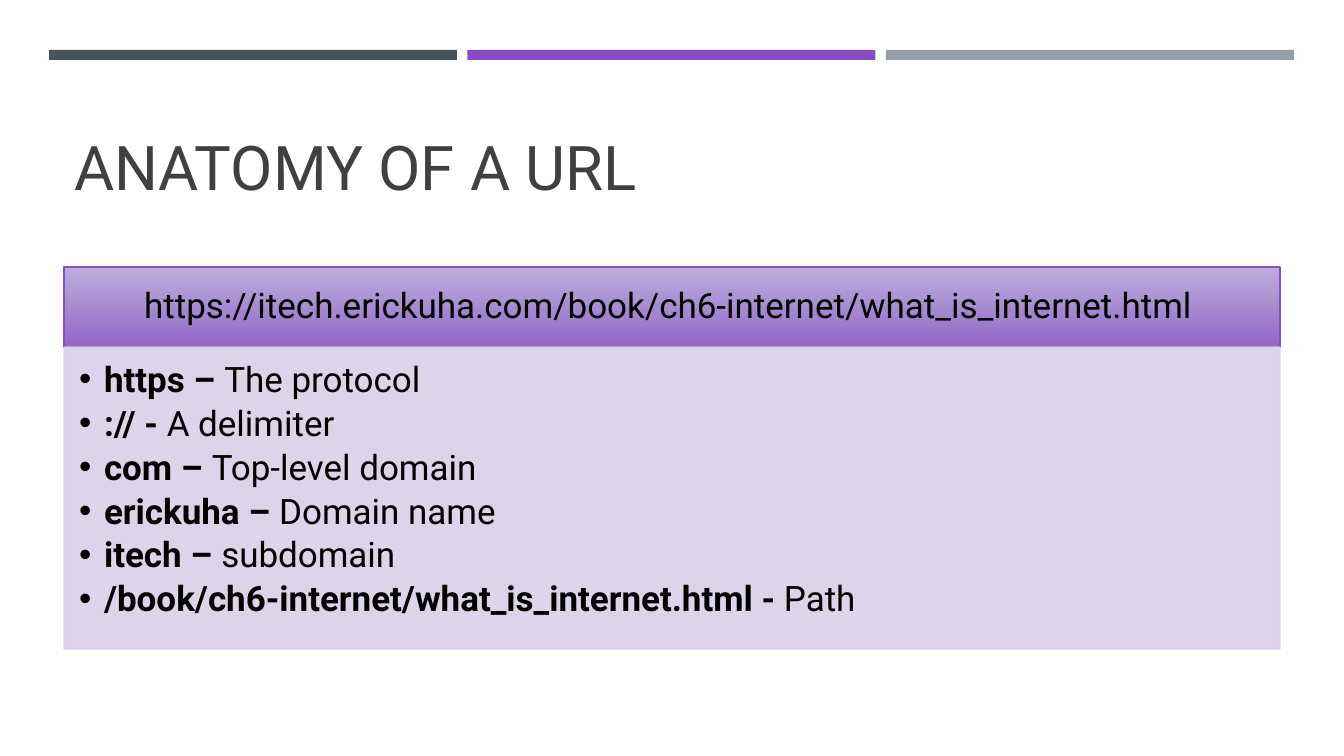
from dataclasses import dataclass

from lxml import etree
from pptx import Presentation
from pptx import util as u
from pptx.dml.color import RGBColor
from pptx.enum import shapes, text
from pptx.oxml.ns import qn


@dataclass(frozen=True)
class Theme:
    font: str = "Roboto"
    title: int = 44
    body: int = 25
    black: str = "000000"
    ink: str = "404040"
    slate: str = "465359"
    violet: str = "884DC3"
    grey: str = "969FA7"
    light: str = "B9A4D9"
    deep: str = "9167C6"
    pale: str = "DAD0E9"


T = Theme()
URL = "https://itech.erickuha.com/book/ch6-internet/what_is_internet.html "
PARTS = [
    ("https – ", "The protocol"),
    (":// - ", "A delimiter"),
    ("com – ", "Top-level domain"),
    ("erickuha – ", "Domain name"),
    ("itech – ", "subdomain"),
    ("/book/ch6-internet/what_is_internet.html - ", "Path"),
]


def px(n):
    return u.Emu(round(n * 914400 / 100.8))


def rgb(code):
    return RGBColor.from_string(code)


def add_box(slide, box, fill=None, line=None):
    shape = slide.shapes.add_shape(
        shapes.MSO_SHAPE.RECTANGLE, *[px(n) for n in box])
    shape.shadow.inherit = False
    if fill:
        shape.fill.solid()
        shape.fill.fore_color.rgb = rgb(fill)
    if line:
        shape.line.color.rgb = rgb(line)
        shape.line.width = u.Pt(1)
    else:
        shape.line.fill.background()
    return shape


def veil(shape, code):
    """Make each use of one colour in the shape 90% opaque."""
    for color in shape._element.spPr.iter(qn("a:srgbClr")):
        if color.get("val") == code:
            etree.SubElement(color, qn("a:alpha"), val="90000")


def add_bullet(para):
    props = para._p.get_or_add_pPr()
    props.set("marL", str(px(25)))
    props.set("indent", str(-px(25)))
    etree.SubElement(props, qn("a:buFont"), typeface="Arial")
    etree.SubElement(props, qn("a:buChar"), char="•")


def add_text(slide, box, paras, size=T.body, color=T.black, inset=(10, 5, 10, 5),
             align=text.PP_ALIGN.LEFT, anchor=text.MSO_ANCHOR.TOP,
             after=0, bullet=False):
    """Each paragraph is a list of (wording, bold) runs."""
    frame = slide.shapes.add_textbox(*[px(n) for n in box]).text_frame
    frame.word_wrap = True
    frame.vertical_anchor = anchor
    (frame.margin_left, frame.margin_top,
     frame.margin_right, frame.margin_bottom) = [px(n) for n in inset]
    for i, runs in enumerate(paras):
        para = frame.paragraphs[0] if i == 0 else frame.add_paragraph()
        para.alignment = align
        para.line_spacing = 0.9
        para.space_after = u.Pt(after)
        if bullet:
            add_bullet(para)
        for words, bold in runs:
            run = para.add_run()
            run.text = words
            font = run.font
            font.name, font.size, font.bold = T.font, u.Pt(size), bold
            font.color.rgb = rgb(color)


def add_bars(slide, box):
    left, top, width, height = box
    bar = 408
    step = (width - bar) / 2
    for i, color in enumerate((T.slate, T.violet, T.grey)):
        add_box(slide, (left + i * step, top, bar, height), color)


def add_head(slide, box):
    shape = add_box(slide, box, line=T.violet)
    shape.fill.gradient()
    shape.fill.gradient_angle = 270
    for stop, color in zip(shape.fill.gradient_stops, (T.light, T.deep)):
        stop.color.rgb = rgb(color)
    veil(shape, T.light)
    add_text(slide, box, [[(URL, False)]], inset=(19, 11, 19, 11),
             align=text.PP_ALIGN.CENTER, anchor=text.MSO_ANCHOR.MIDDLE)


def add_list(slide, box):
    veil(add_box(slide, box, T.pale, T.pale), T.pale)
    paras = [[(part, True), (role, False)] for part, role in PARTS]
    add_text(slide, box, paras, inset=(15, 15, 19, 22), after=4.4, bullet=True)


def add_panel(slide, box):
    left, top, width, height = box
    head = 80
    add_head(slide, (left, top, width, head))
    add_list(slide, (left, top + head, width, height - head))


def main():
    deck = Presentation()
    deck.slide_width, deck.slide_height = px(1344), px(756)
    slide = deck.slides.add_slide(deck.slide_layouts[6])
    add_bars(slide, (49, 50, 1245, 10))
    add_text(slide, (64, 78, 1216, 131), [[("ANATOMY OF A URL", False)]],
             size=T.title, color=T.ink, anchor=text.MSO_ANCHOR.BOTTOM)
    add_panel(slide, (64, 267, 1216, 382))
    deck.save("out.pptx")


if __name__ == "__main__":
    main()
